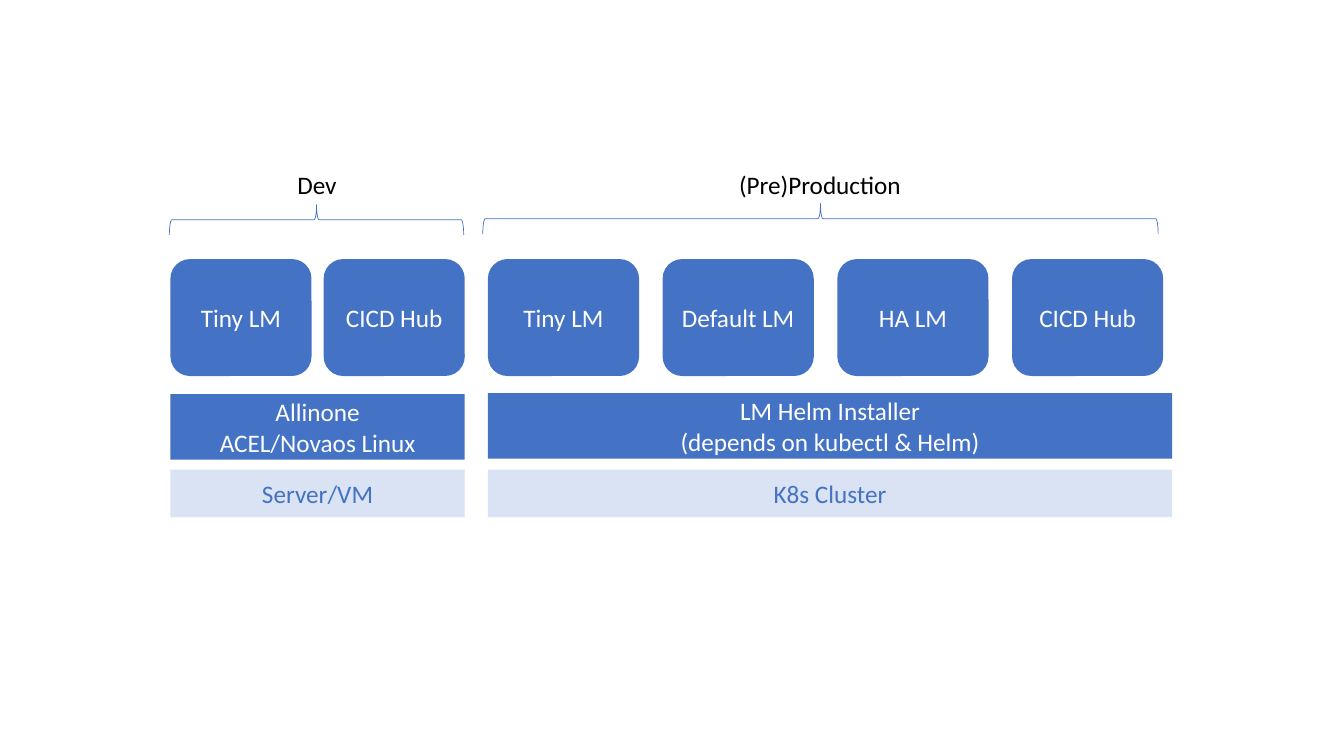
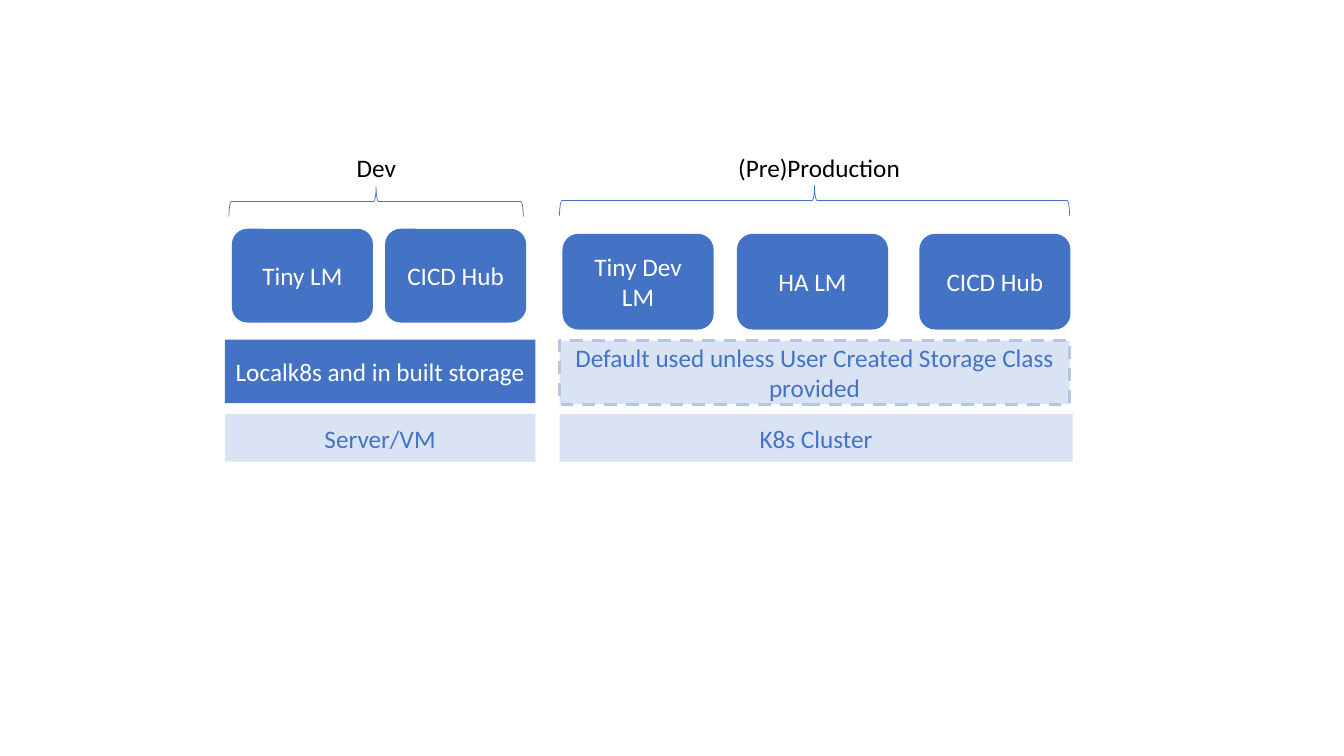
from dataclasses import dataclass
from typing import NamedTuple, Optional

from pptx import Presentation
from pptx.dml.color import RGBColor
from pptx.enum.dml import MSO_LINE
from pptx.enum.shapes import MSO_SHAPE
from pptx.enum.text import MSO_ANCHOR, MSO_AUTO_SIZE, PP_ALIGN
from pptx.util import Inches, Pt

SLIDE_W, SLIDE_H = Inches(13.33), Inches(7.5)


# Theme
@dataclass(frozen=True)
class Theme:
    font: str = "Calibri"
    size: float = 18
    blue: str = "4472C4"
    pale: str = "DAE3F3"
    dash: str = "B4C7E7"
    white: str = "FFFFFF"
    black: str = "000000"
    brace_line: float = 0.5
    dash_line: float = 2.25


THEME = Theme()


class Style(NamedTuple):
    fill: str
    ink: str
    dash: Optional[str] = None


SOLID = Style(THEME.blue, THEME.white)
PALE = Style(THEME.pale, THEME.blue)
DASHED = Style(THEME.pale, THEME.blue, THEME.dash)


# Areas are percentages of the slide's width and height
class Area(NamedTuple):
    x: float
    y: float
    w: float
    h: float

    def emu(self) -> tuple[int, int, int, int]:
        return (int(self.x * SLIDE_W / 100), int(self.y * SLIDE_H / 100),
                int(self.w * SLIDE_W / 100), int(self.h * SLIDE_H / 100))


class Block(NamedTuple):
    text: str
    area: Area
    style: Style = SOLID


@dataclass(frozen=True)
class Environment:
    label: Block
    align: PP_ALIGN
    brace: Area
    components: list[Block]
    layers: list[Block]


def row(names: list[str], lefts: list[float], y: float, w: float, h: float) -> list[Block]:
    return [Block(name, Area(x, y, w, h)) for name, x in zip(names, lefts)]


def spaced(start: float, step: float, count: int) -> list[float]:
    return [start + step * i for i in range(count)]


# Drawing
def write(shape, text: str, color: str, align: PP_ALIGN) -> None:
    tf = shape.text_frame
    tf.word_wrap = True
    tf.text = text
    for p in tf.paragraphs:
        p.alignment = align
        p.font.name, p.font.size = THEME.font, Pt(THEME.size)
        p.font.color.rgb = RGBColor.from_string(color)


def draw_block(s, kind: MSO_SHAPE, block: Block) -> None:
    sp = s.shapes.add_shape(kind, *block.area.emu())
    sp.shadow.inherit = False
    sp.fill.solid()
    sp.fill.fore_color.rgb = RGBColor.from_string(block.style.fill)
    if block.style.dash:
        sp.line.color.rgb = RGBColor.from_string(block.style.dash)
        sp.line.width = Pt(THEME.dash_line)
        sp.line.dash_style = MSO_LINE.DASH
    else:
        sp.line.fill.background()
    sp.text_frame.vertical_anchor = MSO_ANCHOR.MIDDLE
    write(sp, block.text, block.style.ink, PP_ALIGN.CENTER)


def draw_brace(s, area: Area) -> None:
    """Turn an upright left brace so that it spans the area, tip up."""
    x, y, w, h = area.emu()
    sp = s.shapes.add_shape(MSO_SHAPE.LEFT_BRACE, x + (w - h) // 2, y + (h - w) // 2, h, w)
    sp.rotation = 90
    sp.shadow.inherit = False
    sp.fill.background()
    sp.line.color.rgb = RGBColor.from_string(THEME.blue)
    sp.line.width = Pt(THEME.brace_line)


def draw_label(s, label: Block, align: PP_ALIGN) -> None:
    box = s.shapes.add_textbox(*label.area.emu())
    write(box, label.text, THEME.black, align)
    box.text_frame.auto_size = MSO_AUTO_SIZE.SHAPE_TO_FIT_TEXT


def draw_environment(s, env: Environment) -> None:
    for block in env.components:
        draw_block(s, MSO_SHAPE.ROUNDED_RECTANGLE, block)
    for block in env.layers:
        draw_block(s, MSO_SHAPE.RECTANGLE, block)
    draw_brace(s, env.brace)
    draw_label(s, env.label, env.align)


def dev(label: Area, brace: Area, components: list[Block], layers: list[Block]) -> Environment:
    return Environment(Block("Dev", label), PP_ALIGN.LEFT, brace, components, layers)


def production(label: Area, brace: Area, components: list[Block],
               layers: list[Block]) -> Environment:
    return Environment(Block("(Pre)Production", label), PP_ALIGN.CENTER, brace,
                       components, layers)


DEV_NAMES = ["Tiny LM", "CICD Hub"]

# Slide 1: installers
INSTALLERS = [
    dev(Area(21.38, 21.73, 8.03, 5.47), Area(12.6, 27.07, 21.9, 4),
        row(DEV_NAMES, spaced(12.68, 11.4, 2), 34.27, 10.5, 15.47),
        [Block("Allinone\nACEL/Novaos Linux", Area(12.68, 52.13, 21.9, 8.67)),
         Block("Server/VM", Area(12.68, 62.13, 21.9, 6.27), PALE)]),
    production(Area(53.92, 21.73, 14.18, 5.47), Area(35.92, 26.93, 50.25, 4),
               row(["Tiny LM", "Default LM", "HA LM", "CICD Hub"],
                   spaced(36.3, 13, 4), 34.27, 11.25, 15.47),
               [Block("LM Helm Installer\n(depends on kubectl & Helm)",
                      Area(36.3, 52, 50.92, 8.67)),
                Block("K8s Cluster", Area(36.3, 62.13, 50.92, 6.27), PALE)]),
]

# Slide 2: storage
STORAGE = [
    dev(Area(25.8, 19.47, 8.03, 5.47), Area(17.03, 24.67, 21.9, 4),
        row(DEV_NAMES, spaced(17.25, 11.4, 2), 30.27, 10.5, 12.4),
        [Block("Localk8s and in built storage", Area(16.73, 44.93, 23.1, 8.4)),
         Block("Server/VM", Area(16.73, 54.8, 23.1, 6.27), PALE)]),
    production(Area(53.85, 19.47, 14.18, 5.47), Area(41.63, 24.53, 37.95, 4),
               row(["Tiny Dev LM", "HA LM", "CICD Hub"],
                   [41.85, 54.83, 68.4], 30.93, 11.25, 12.67),
               [Block("Default used unless User Created Storage Class provided",
                      Area(41.63, 45.07, 37.95, 8.4), DASHED),
                Block("K8s Cluster", Area(41.63, 54.8, 38.18, 6.27), PALE)]),
]

# Build
prs = Presentation()
prs.slide_width, prs.slide_height = SLIDE_W, SLIDE_H
BLANK = prs.slide_layouts[6]
for environments in (INSTALLERS, STORAGE):
    s = prs.slides.add_slide(BLANK)
    for env in environments:
        draw_environment(s, env)
prs.save("out.pptx")
